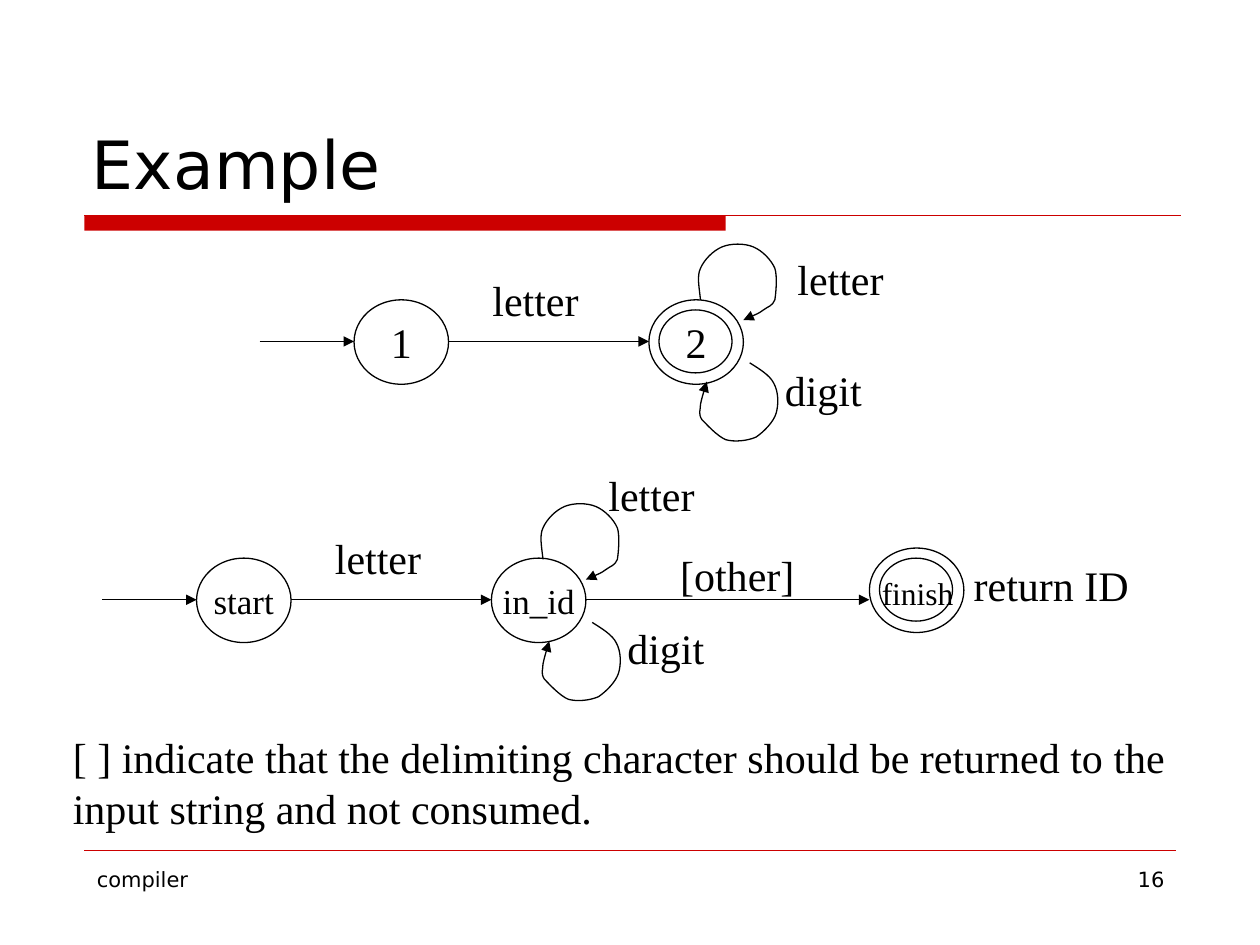
from lxml import etree
from pptx import Presentation
from pptx.dml.color import RGBColor
from pptx.enum import shapes, text
from pptx.oxml import ns
from pptx.util import Inches, Pt

BLACK, RED = "000000", "CC0000"
SANS, SERIF = "DejaVu Sans", "Times New Roman"


def rgb(hex_color):
    return RGBColor.from_string(hex_color)


def write(sp, content, size, font=SERIF, align=text.PP_ALIGN.LEFT, wrap=False):
    tf = sp.text_frame
    tf.word_wrap = wrap
    p = tf.paragraphs[0]
    p.text = content
    p.alignment = align
    p.font.size, p.font.name = Pt(size), font
    p.font.color.rgb = rgb(BLACK)
    return tf


prs = Presentation()
prs.slide_width, prs.slide_height = Inches(10), Inches(7.5)
slide = prs.slides.add_slide(prs.slide_layouts[5])
sps = slide.shapes

# Title
title = sps.title
title.left, title.top = Inches(0.63), Inches(0.33)
title.width, title.height = Inches(8.75), Inches(1.33)
tf = write(title, "Example", 38, SANS, wrap=True)
tf.auto_size = text.MSO_AUTO_SIZE.NONE
tf.vertical_anchor = text.MSO_ANCHOR.BOTTOM

# Red bar under the title
bar = sps.add_shape(shapes.MSO_SHAPE.RECTANGLE, Inches(0.67), Inches(1.71), Inches(5.09), Inches(0.12))
bar.shadow.inherit = False
bar.fill.solid()
bar.fill.fore_color.rgb = rgb(RED)
bar.line.fill.background()

# Rules and transitions: x1, x2, y, colour, width, arrow
lines = [
    (0.67, 9.37, 1.71, RED, 1, False),
    (0.67, 9.33, 6.75, RED, 0.25, False),
    (2.06, 2.81, 2.71, BLACK, 0.75, True),
    (3.56, 5.15, 2.71, BLACK, 0.75, True),
    (0.81, 1.56, 4.76, BLACK, 0.75, True),
    (2.31, 3.9, 4.76, BLACK, 0.75, True),
    (4.65, 6.9, 4.76, BLACK, 0.75, True),
]
for x1, x2, y, color, width, arrow in lines:
    line = sps.add_connector(shapes.MSO_CONNECTOR.STRAIGHT, Inches(x1), Inches(y), Inches(x2), Inches(y))
    line.line.color.rgb = rgb(color)
    line.line.width = Pt(width)
    if arrow:
        etree.SubElement(line.line._get_or_add_ln(), ns.qn("a:tailEnd"), type="triangle")
    etree.SubElement(line._element.spPr, ns.qn("a:effectLst"))

# States: left, top, width, height, name, text size
states = [
    (2.81, 2.38, 0.75, 0.67, "1", 24),
    (5.15, 2.38, 0.75, 0.67, "2", 24),
    (5.23, 2.46, 0.58, 0.5, "", 24),
    (1.56, 4.43, 0.75, 0.67, "start", 20),
    (3.9, 4.43, 0.75, 0.67, "in_id", 20),
    (6.9, 4.35, 0.75, 0.67, "", 20),
    (6.98, 4.43, 0.58, 0.5, "", 20),
]
for x, y, w, h, name, size in states:
    state = sps.add_shape(shapes.MSO_SHAPE.OVAL, Inches(x), Inches(y), Inches(w), Inches(h))
    state.shadow.inherit = False
    state.fill.background()
    state.line.color.rgb = rgb(BLACK)
    state.line.width = Pt(0.75)
    if name:
        tf = write(state, name, size, align=text.PP_ALIGN.CENTER)
        tf.vertical_anchor = text.MSO_ANCHOR.MIDDLE

# Self-loops as Bezier points: a start, then three points per curve
letter_loop = [
    (5.56, 2.38), (5.55, 2.28), (5.53, 2.19), (5.56, 2.13),
    (5.59, 2.06), (5.66, 1.99), (5.73, 1.96), (5.8, 1.93), (5.91, 1.93), (5.98, 1.96),
    (6.05, 1.99), (6.12, 2.06), (6.15, 2.13), (6.17, 2.19), (6.16, 2.32), (6.15, 2.38),
    (6.13, 2.43), (6.1, 2.43), (6.06, 2.46), (6.02, 2.49), (5.92, 2.53), (5.9, 2.54),
]
digit_loop = [
    (5.95, 2.88), (6.03, 2.93), (6.11, 2.98), (6.14, 3.04),
    (6.18, 3.11), (6.18, 3.21), (6.16, 3.28), (6.14, 3.35), (6.06, 3.43), (6, 3.47),
    (5.93, 3.5), (5.83, 3.51), (5.76, 3.49), (5.69, 3.46), (5.61, 3.37), (5.57, 3.33),
    (5.54, 3.28), (5.56, 3.26), (5.56, 3.21), (5.57, 3.16), (5.6, 3.06), (5.61, 3.03),
]
for dx, dy in [(0, 0), (-1.25, 2.06)]:
    for loop in (letter_loop, digit_loop):
        points = [(Inches(x + dx), Inches(y + dy)) for x, y in loop]
        builder = sps.build_freeform(*points[0])
        builder.add_line_segments(points[1:], close=False)
        sp = builder.convert_to_shape()
        # Turn every three straight segments into one curve
        segments = list(sp._element.iter(ns.qn("a:lnTo")))
        for i in range(0, len(segments), 3):
            curve = etree.Element(ns.qn("a:cubicBezTo"))
            segments[i].addprevious(curve)
            for segment in segments[i:i + 3]:
                curve.append(segment[0])
                segment.getparent().remove(segment)
        sp.shadow.inherit = False
        sp.fill.background()
        sp.line.color.rgb = rgb(BLACK)
        sp.line.width = Pt(0.75)
        etree.SubElement(sp.line._get_or_add_ln(), ns.qn("a:tailEnd"), type="triangle")

# Labels and note: left, top, width, height, wording, text size, wrap
note = "[ ] indicate that the delimiting character should be returned to the input string and not consumed."
labels = [
    (3.81, 2.13, 0.92, 0.5, "letter", 24, False),
    (6.23, 1.96, 0.92, 0.5, "letter", 24, False),
    (6.13, 2.84, 0.85, 0.5, "digit", 24, False),
    (2.56, 4.18, 0.92, 0.5, "letter", 24, False),
    (4.73, 3.68, 0.92, 0.5, "letter", 24, False),
    (4.88, 4.89, 0.85, 0.5, "digit", 24, False),
    (5.3, 4.31, 1.14, 0.5, "[other]", 24, False),
    (6.9, 4.51, 0.83, 0.4, "finish", 18, True),
    (7.63, 4.39, 1.47, 0.5, "return ID", 24, False),
    (0.48, 5.76, 9.17, 0.9, note, 24, True),
]
for x, y, w, h, wording, size, wrap in labels:
    label = sps.add_textbox(Inches(x), Inches(y), Inches(w), Inches(h))
    tf = write(label, wording, size, wrap=wrap)
    tf.auto_size = text.MSO_AUTO_SIZE.SHAPE_TO_FIT_TEXT

# Footer and slide number
for x, wording, align in [(0.67, "compiler", text.PP_ALIGN.LEFT), (7.17, "16", text.PP_ALIGN.RIGHT)]:
    footer = sps.add_textbox(Inches(x), Inches(6.83), Inches(2.17), Inches(0.52))
    write(footer, wording, 12, SANS, align, wrap=True)

prs.save("out.pptx")
